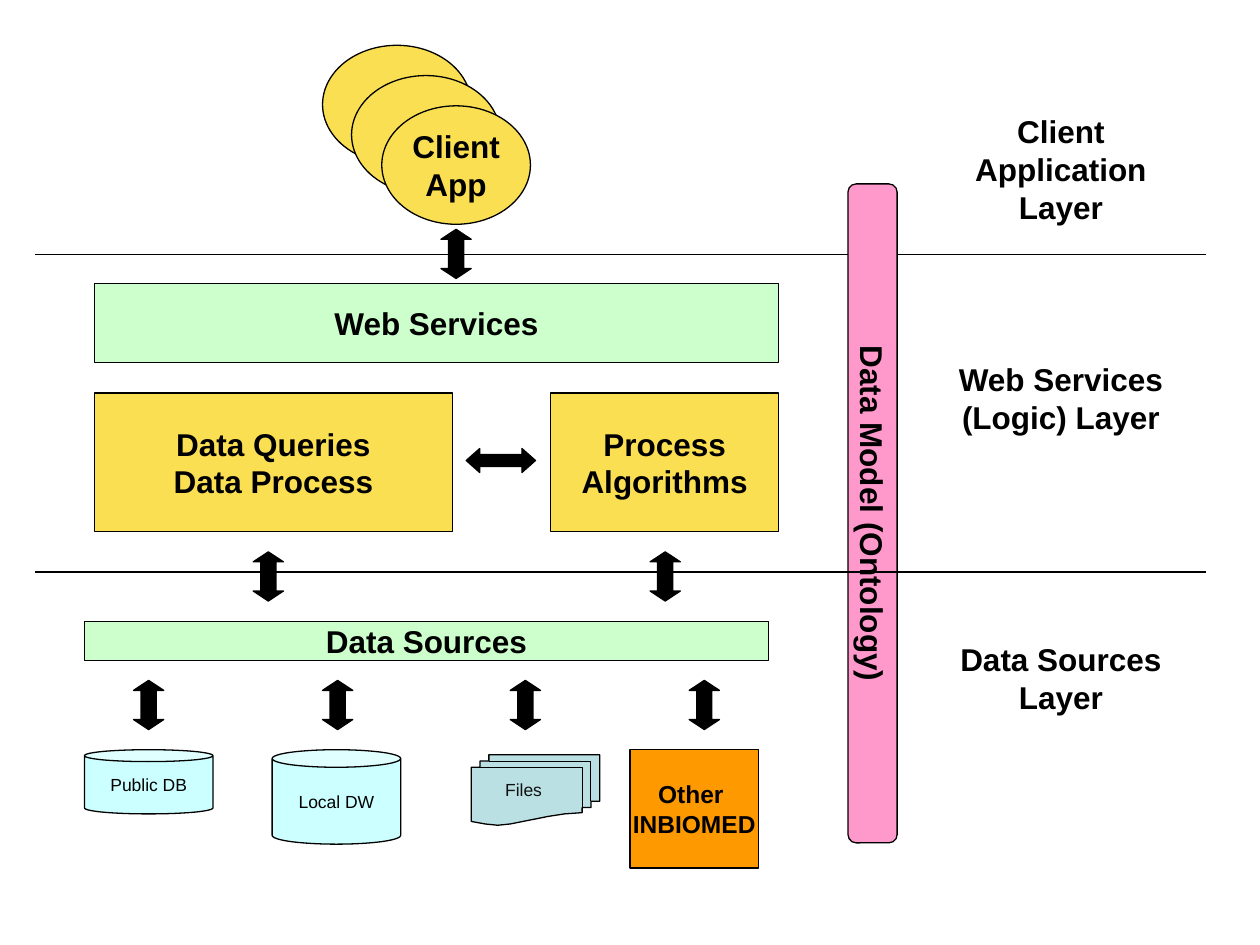
from dataclasses import dataclass

from lxml import etree
from pptx import Presentation
from pptx.dml.color import RGBColor
from pptx.enum.shapes import MSO_CONNECTOR, MSO_SHAPE
from pptx.enum.text import MSO_ANCHOR, PP_ALIGN
from pptx.oxml.ns import qn
from pptx.util import Pt

PX = 9144

RECT = MSO_SHAPE.RECTANGLE
OVAL = MSO_SHAPE.OVAL
CAN = MSO_SHAPE.CAN
UP_DOWN = MSO_SHAPE.UP_DOWN_ARROW
LEFT_RIGHT = MSO_SHAPE.LEFT_RIGHT_ARROW
ROUNDED = MSO_SHAPE.FLOWCHART_ALTERNATE_PROCESS
STRAIGHT = MSO_CONNECTOR.STRAIGHT
CENTER = PP_ALIGN.CENTER
MIDDLE = MSO_ANCHOR.MIDDLE
TOP = MSO_ANCHOR.TOP

BLACK = RGBColor(0x00, 0x00, 0x00)
INK = RGBColor(0x11, 0x11, 0x11)
YELLOW = RGBColor(0xFB, 0xDF, 0x53)
GREEN = RGBColor(0xCC, 0xFF, 0xCC)
CYAN = RGBColor(0xCC, 0xFF, 0xFF)
TEAL = RGBColor(0xBB, 0xE0, 0xE3)
ORANGE = RGBColor(0xFF, 0x99, 0x00)
PINK = RGBColor(0xFF, 0x99, 0xCC)


@dataclass(frozen=True)
class Node:
    kind: int
    x: int
    y: int
    w: int
    h: int
    fill: RGBColor
    text: str = ""
    size: int = 18
    bold: bool = True
    wrap: bool = False
    adj: tuple[float, ...] = ()
    rotation: int = 0


@dataclass(frozen=True)
class Label:
    y: int
    h: int
    text: str


def write(s, text: str, *, size: int = 18, bold: bool = True,
          color: RGBColor = BLACK, wrap: bool = False, anchor=MIDDLE,
          inset: tuple[int, int] = (10, 5)) -> None:
    tf = s.text_frame
    tf.word_wrap = wrap
    tf.vertical_anchor = anchor
    tf.margin_left = tf.margin_right = inset[0] * PX
    tf.margin_top = tf.margin_bottom = inset[1] * PX
    for i, line in enumerate(text.split("\n")):
        p = tf.add_paragraph() if i else tf.paragraphs[0]
        p.alignment = CENTER
        r = p.add_run()
        r.text = line
        r.font.name = "Arial"
        r.font.size = Pt(size)
        r.font.bold = bold
        r.font.color.rgb = color


def style(s, fill: RGBColor | None, width: float = 0.75) -> None:
    s.shadow.inherit = False
    if fill is None:
        s.fill.background()
    else:
        s.fill.solid()
        s.fill.fore_color.rgb = fill
    s.line.color.rgb = BLACK
    s.line.width = Pt(width)


def adjust(s, values: tuple[float, ...]) -> None:
    guides = s._element.spPr.find(qn("a:prstGeom")).find(qn("a:avLst"))
    for guide in list(guides):
        guides.remove(guide)
    for i, value in enumerate(values, 1):
        name = f"adj{i}" if len(values) > 1 else "adj"
        etree.SubElement(guides, qn("a:gd"), name=name, fmla=f"val {round(value * 100000)}")


def draw_node(sp, node: Node) -> None:
    s = sp.add_shape(node.kind, *(v * PX for v in (node.x, node.y, node.w, node.h)))
    style(s, node.fill)
    s.rotation = node.rotation
    if node.adj:
        adjust(s, node.adj)
    if node.text:
        write(s, node.text, size=node.size, bold=node.bold, wrap=node.wrap)


def draw_arrow(sp, x: int, y: int) -> None:
    draw_node(sp, Node(UP_DOWN, x, y, 24, 39, BLACK, adj=(0.5, 0.33)))


def draw_divider(sp, y: int) -> None:
    s = sp.add_connector(STRAIGHT, 28 * PX, y * PX, 957 * PX, y * PX)
    s.line.color.rgb = BLACK
    s.line.width = Pt(0.75)
    etree.SubElement(s._element.spPr, qn("a:effectLst"))


def draw_path(sp, points: list[tuple[int, int]], fill: RGBColor | None = None,
              width: float = 0.62) -> None:
    start, *rest = [(x * PX, y * PX) for x, y in points]
    builder = sp.build_freeform(*start, scale=1.0)
    builder.add_line_segments(rest, close=fill is not None)
    style(builder.convert_to_shape(), fill, width)


def draw_text_box(sp, x: int, y: int, w: int, h: int, text: str, **format) -> None:
    s = sp.add_textbox(x * PX, y * PX, w * PX, h * PX)
    write(s, text, anchor=TOP, **format)


def draw_files(sp) -> None:
    wave = [(374, 652), (385, 654), (395, 655), (405, 654), (415, 652),
            (425, 650), (435, 648), (448, 646), (462, 645)]
    steps = [(462, 641), (469, 641), (469, 636), (476, 636), (476, 599),
             (388, 599), (388, 604), (381, 604), (381, 609), (374, 609)]
    draw_path(sp, wave + steps, TEAL, 0.75)
    for x, y in [(381, 609), (388, 604)]:
        draw_path(sp, [(x, y), (x + 81, y), (x + 81, y + 32)])
    draw_text_box(sp, 395, 618, 41, 17, "Files", size=10, bold=False,
                  color=INK, inset=(0, 0))


NODES = [
    Node(RECT, 75, 312, 284, 110, YELLOW, "Data Queries\nData Process"),
    Node(RECT, 437, 312, 181, 110, YELLOW, "Process\nAlgorithms"),
    Node(RECT, 75, 225, 543, 63, GREEN, "Web Services"),
    Node(CAN, 216, 595, 102, 75, CYAN, "Local DW", 10, False, True, (0.186,)),
    Node(CAN, 67, 595, 102, 51, CYAN, "Public DB", 10, False, True, (0.186,)),
    Node(LEFT_RIGHT, 370, 356, 55, 19, BLACK, adj=(0.5, 0.565)),
    Node(RECT, 67, 493, 543, 31, GREEN, "Data Sources"),
    Node(RECT, 500, 595, 102, 94, ORANGE, "Other \nINBIOMED", 14),
]
ARROWS = [(350, 182), (201, 438), (516, 438),
          (106, 540), (256, 540), (405, 540), (547, 540)]
CLIENT_TEXTS = ["", "", "Client\nApp"]
DATA_MODEL = Node(ROUNDED, 431, 388, 523, 39, PINK, "Data Model (Ontology)", rotation=90)
LABELS = [
    Label(84, 100, "Client Application Layer"),
    Label(281, 70, "Web Services (Logic) Layer"),
    Label(503, 70, "Data Sources Layer"),
]


def main() -> None:
    prs = Presentation()
    prs.slide_width = 1000 * PX
    prs.slide_height = 750 * PX
    sp = prs.slides.add_slide(prs.slide_layouts[6]).shapes

    draw_files(sp)
    for node in NODES:
        draw_node(sp, node)
    for i, text in enumerate(CLIENT_TEXTS):
        draw_node(sp, Node(OVAL, 256 + 47 * i // 2, 36 + 24 * i, 118, 94, YELLOW, text))
    for x, y in ARROWS:
        draw_arrow(sp, x, y)
    draw_divider(sp, 202)
    draw_node(sp, DATA_MODEL)
    draw_divider(sp, 454)
    for label in LABELS:
        draw_text_box(sp, 736, label.y, 212, label.h, label.text, wrap=True)

    prs.save("out.pptx")


if __name__ == "__main__":
    main()
